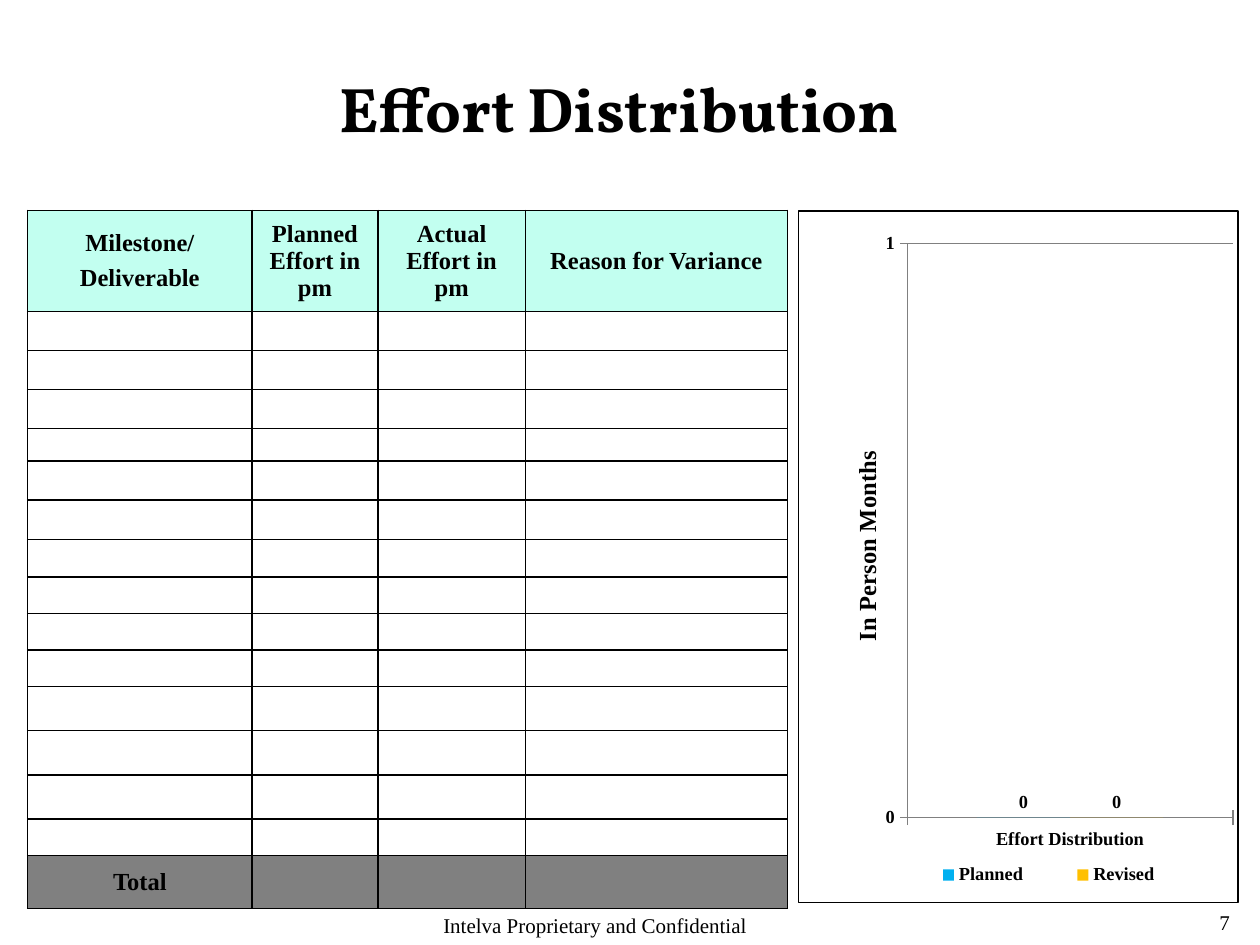
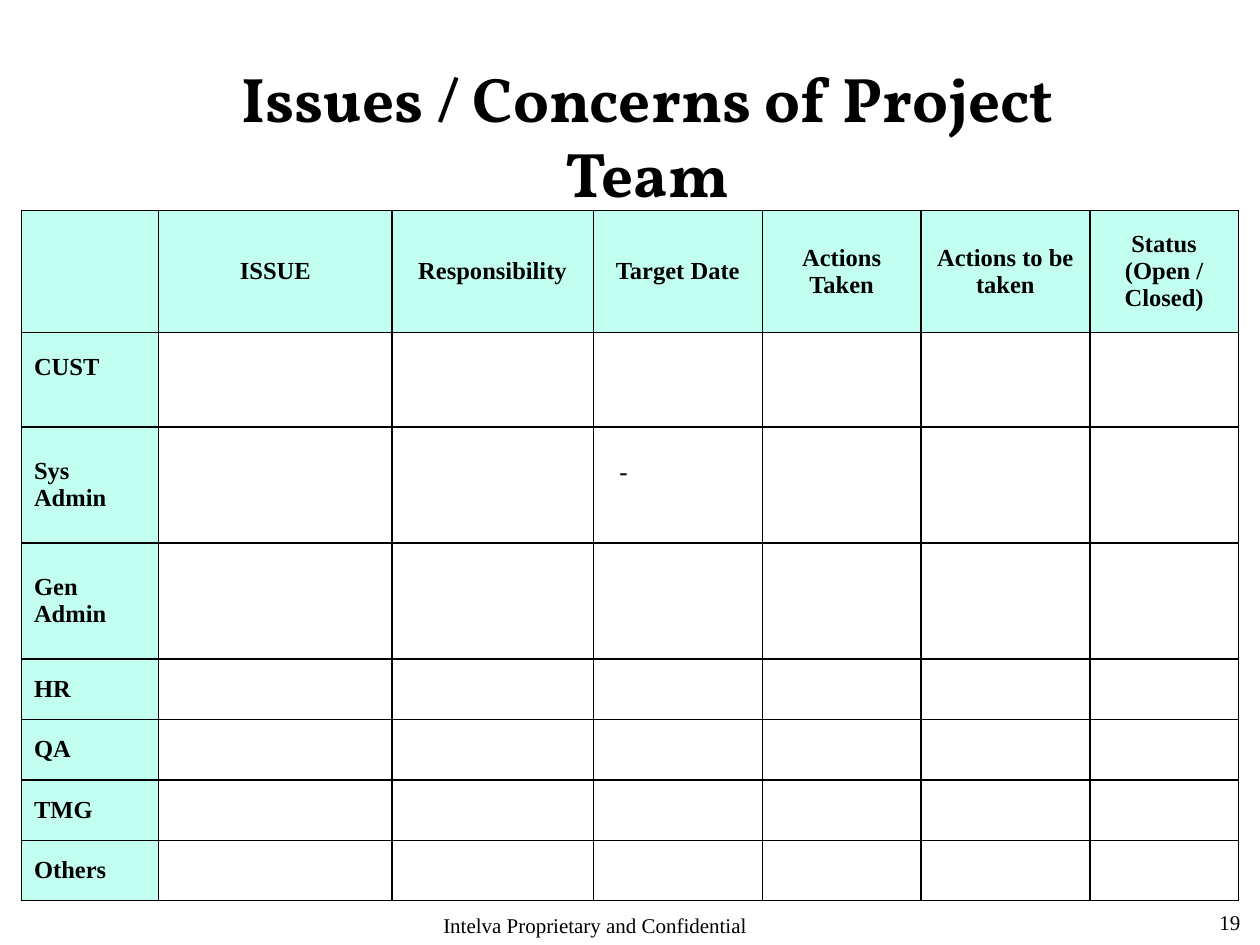
from lxml import etree
from pptx import Presentation
from pptx import util as u
from pptx.chart import data as chart_data
from pptx.dml.color import RGBColor
from pptx.enum import chart as ch
from pptx.enum import text as t
from pptx.oxml import parse_xml
from pptx.oxml.ns import nsdecls, qn

BLACK = RGBColor(0, 0, 0)
GREY = RGBColor(0x80, 0x80, 0x80)
MINT = RGBColor(0xC2, 0xFF, 0xF0)
BLUE = RGBColor(0, 0xB0, 0xF0)
AMBER = RGBColor(0xFF, 0xC0, 0)
SERIF, DISPLAY, SANS = "Times New Roman", "Vollkorn", "DejaVu Sans"
CENTER, LEFT = t.PP_ALIGN.CENTER, t.PP_ALIGN.LEFT

SLIDE_SIZE = (10, 7.5)
TABLE_TOP = 1.67
FOOTER = "Intelva Proprietary and Confidential"

EFFORT = {
    "title": "Effort Distribution",
    "title_box": (2.25, 0.5, 5.33, 0.71),
    "page": "7",
    "left": 0.22,
    "columns": [1.78, 1, 1.17, 2.08],
    "rows": [0.8] + [0.31] * 3 + [0.26] + [0.31] * 2 + [0.3]
            + [0.29] * 3 + [0.35] * 3 + [0.29, 0.42],
    "header": ["Milestone/\nDeliverable", "Planned Effort in pm",
               "Actual Effort in pm", "Reason for Variance"],
    "total": "Total",
}
CHART = {
    "box": (6.33, TABLE_TOP, 3.5, 5.5),
    "category": "Effort Distribution",
    "axis_title": "In Person Months",
    "series": [("Planned", 0, BLUE), ("Revised", 0, AMBER)],
    "plot": {"x": 0.248, "y": 0.047, "w": 0.741, "h": 0.83},
    "legend": {"x": 0.22, "y": 0.94, "w": 0.7, "h": 0.04},
    "title": {"x": 0.11, "y": 0.34},
}
ISSUES = {
    "title": "Issues / Concerns of Project Team",
    "title_box": (1.2, 0.42, 7.88, 0.71),
    "page": "19",
    "left": 0.17,
    "columns": [1.09, 1.85, 1.6, 1.34, 1.26, 1.34, 1.18],
    "rows": [0.97, 0.75] + [0.92] * 2 + [0.48] * 4,
    "header": ["", "ISSUE", "Responsibility", "Target Date", "Actions Taken",
               "Actions to be taken", "Status (Open / Closed)"],
    "groups": ["CUST", "Sys Admin", "Gen Admin", "HR", "QA", "TMG", "Others"],
}


def style_font(font, size, name=SERIF, bold=False):
    font.size, font.name, font.bold = u.Pt(size), name, bold
    font.color.rgb = BLACK


def write(frame, words, size, name=SERIF, bold=False, align=LEFT):
    for index, line in enumerate(words.split("\n")):
        para = frame.add_paragraph() if index else frame.paragraphs[0]
        para.alignment = align
        if index:
            para.space_before = u.Pt(4.5)
        span = para.add_run()
        span.text = line
        style_font(span.font, size, name, bold)


def add_text(page, place, words, size, name=SERIF, bold=False, align=LEFT, wrap=True):
    box = page.shapes.add_textbox(*map(u.Inches, place))
    box.text_frame.word_wrap = wrap
    write(box.text_frame, words, size, name, bold, align)


def add_page(deck, content):
    page = deck.slides.add_slide(deck.slide_layouts[6])
    add_text(page, content["title_box"], content["title"], 36, DISPLAY, True, CENTER)
    add_text(page, (9.58, 7.17, 0.42, 0.33), content["page"], 12)
    add_text(page, (3.42, 7.19, 3.16, 0.31), FOOTER, 12)
    return page


def add_borders(cell):
    properties = cell._tc.get_or_add_tcPr()
    for index, side in enumerate("LRTB"):
        properties.insert(index, parse_xml(
            f'<a:ln{side} {nsdecls("a")} w="12700"><a:solidFill>'
            f'<a:srgbClr val="{BLACK}"/></a:solidFill></a:ln{side}>'))


def fill_cell(cell, words, color, align):
    cell.vertical_anchor = t.MSO_ANCHOR.MIDDLE
    if color is None:
        cell.fill.background()
    else:
        cell.fill.solid()
        cell.fill.fore_color.rgb = color
    add_borders(cell)
    if words:
        write(cell.text_frame, words, 14, bold=True, align=align)
    else:
        para = cell.text_frame.paragraphs[0]
        etree.SubElement(para._p, qn("a:endParaRPr")).set("sz", "800")


def add_grid(page, content, describe):
    columns, rows = content["columns"], content["rows"]
    place = (content["left"], TABLE_TOP, sum(columns), sum(rows))
    table = page.shapes.add_table(len(rows), len(columns), *map(u.Inches, place)).table
    table.first_row = table.horz_banding = False
    for column, width in zip(table.columns, columns):
        column.width = u.Inches(width)
    for row, height in zip(table.rows, rows):
        row.height = u.Inches(height)
    for r in range(len(rows)):
        for c in range(len(columns)):
            fill_cell(table.cell(r, c), *describe(r, c))
    return table


def effort_cell(r, c):
    if r == 0:
        return EFFORT["header"][c], MINT, CENTER
    if r == len(EFFORT["rows"]) - 1:
        return "" if c else EFFORT["total"], GREY, CENTER
    return "", None, LEFT


def issue_cell(r, c):
    if r == 0:
        return ISSUES["header"][c], MINT, CENTER
    if c == 0:
        return ISSUES["groups"][r - 1], MINT, LEFT
    return "", None, LEFT


def set_layout(parent, index, shares, inner=False):
    for old in parent.findall(qn("c:layout")):
        parent.remove(old)
    target = '<c:layoutTarget val="inner"/>' if inner else ""
    modes = "".join(f'<c:{key}Mode val="edge"/>' for key in "xy")
    values = "".join(f'<c:{key} val="{share}"/>' for key, share in shares.items())
    parent.insert(index, parse_xml(
        f'<c:layout {nsdecls("c")}><c:manualLayout>{target}{modes}{values}'
        '</c:manualLayout></c:layout>'))


def add_effort_chart(page):
    data = chart_data.CategoryChartData()
    data.categories = [CHART["category"]]
    for name, value, _ in CHART["series"]:
        data.add_series(name, [value])
    chart = page.shapes.add_chart(ch.XL_CHART_TYPE.COLUMN_CLUSTERED,
                                  *map(u.Inches, CHART["box"]), data).chart
    style_font(chart.font, 10.5, bold=True)
    chart.has_title = False

    plot = chart.plots[0]
    plot.vary_by_categories = False
    plot.gap_width = 150
    plot.has_data_labels = True
    labels = plot.data_labels
    labels.show_value = True
    labels.position = ch.XL_LABEL_POSITION.OUTSIDE_END
    style_font(labels.font, 10.5, bold=True)
    for series, (_, _, color) in zip(plot.series, CHART["series"]):
        series.format.fill.solid()
        series.format.fill.fore_color.rgb = color

    for axis in (chart.category_axis, chart.value_axis):
        axis.major_tick_mark = ch.XL_TICK_MARK.CROSS
        axis.format.line.color.rgb = GREY
        axis.format.line.width = u.Pt(0.75)
    axis = chart.value_axis
    axis.minimum_scale, axis.maximum_scale, axis.major_unit = 0, 1, 1
    axis.has_major_gridlines = True
    axis.major_gridlines.format.line.color.rgb = GREY
    write(axis.axis_title.text_frame, CHART["axis_title"], 14, bold=True, align=CENTER)

    chart.has_legend = True
    legend = chart.legend
    legend.position = ch.XL_LEGEND_POSITION.BOTTOM
    legend.include_in_layout = False
    style_font(legend.font, 10.5, bold=True)

    space = chart._chartSpace
    set_layout(space.find(".//" + qn("c:plotArea")), 0, CHART["plot"], True)
    set_layout(legend._element, 1, CHART["legend"])
    set_layout(axis.axis_title._element, 1, CHART["title"])
    space.find(qn("c:txPr")).addprevious(parse_xml(
        f'<c:spPr {nsdecls("c", "a")}><a:noFill/><a:ln w="9525"><a:solidFill>'
        f'<a:srgbClr val="{BLACK}"/></a:solidFill></a:ln></c:spPr>'))


def main():
    deck = Presentation()
    deck.slide_width, deck.slide_height = map(u.Inches, SLIDE_SIZE)

    page = add_page(deck, EFFORT)
    add_grid(page, EFFORT, effort_cell)
    add_effort_chart(page)

    page = add_page(deck, ISSUES)
    table = add_grid(page, ISSUES, issue_cell)
    table.cell(1, 0).margin_bottom = u.Inches(0.25)
    add_text(page, (4.77, 3.58, 0.36, 0.34), "-", 14, SANS, align=CENTER, wrap=False)

    deck.save("out.pptx")


if __name__ == "__main__":
    main()
